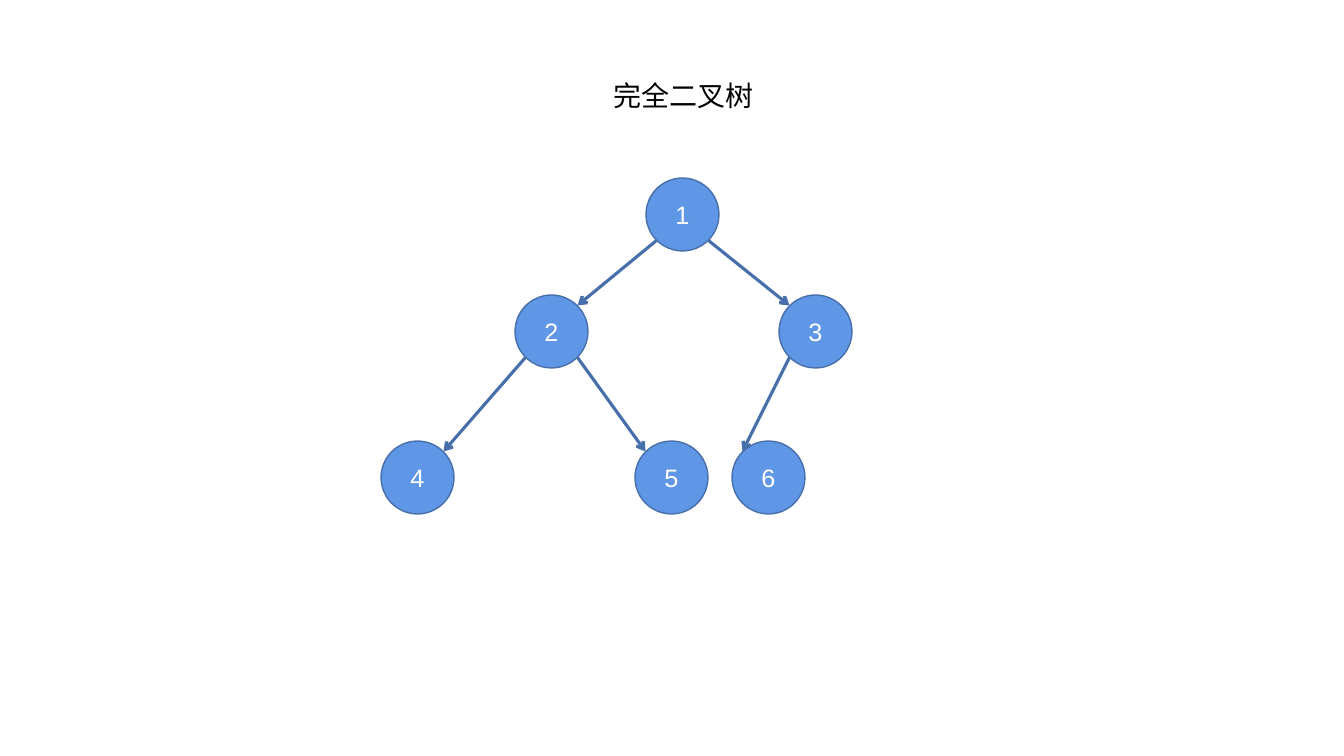
from lxml.etree import SubElement as Sub
from pptx import Presentation
from pptx.dml.color import RGBColor
from pptx.enum.shapes import MSO_CONNECTOR as Conn, MSO_SHAPE as Shape
from pptx.enum.text import MSO_ANCHOR as Anchor, MSO_AUTO_SIZE as Fit, PP_ALIGN as Align
from pptx.oxml.ns import qn
from pptx.util import Pt

BLUE = RGBColor(0x60, 0x96, 0xE6)
EDGE = RGBColor(0x47, 0x6F, 0xAA)
WHITE = RGBColor(0xFF, 0xFF, 0xFF)
BLACK = RGBColor(0, 0, 0)
SCALE = 914400 / 100.8
SIZE = 73    # node diameter
REACH = 26   # centre to the diagonal point on the rim


def px(value):
    return round(value * SCALE)


class Board:
    font = "Arial"

    def __init__(self, deck):
        self.slide = deck.slides.add_slide(deck.slide_layouts[6])
        self.shapes = self.slide.shapes

    def label(self, frame, text, size, color):
        para = frame.paragraphs[0]
        para.text = text
        para.alignment = Align.CENTER
        para.font.name = self.font
        para.font.size = Pt(size)
        para.font.color.rgb = color

    def title(self, text, x, y, w, h):
        frame = self.shapes.add_textbox(px(x), px(y), px(w), px(h)).text_frame
        frame.word_wrap = True
        frame.auto_size = Fit.SHAPE_TO_FIT_TEXT
        self.label(frame, text, 20, BLACK)

    def node(self, text, x, y):
        disc = self.shapes.add_shape(Shape.OVAL, px(x), px(y), px(SIZE), px(SIZE))
        disc.shadow.inherit = False
        disc.fill.solid()
        disc.fill.fore_color.rgb = BLUE
        disc.line.color.rgb = EDGE
        disc.line.width = Pt(1)
        disc.text_frame.vertical_anchor = Anchor.MIDDLE
        self.label(disc.text_frame, text, 18, WHITE)

    def arrow(self, start, end):
        link = self.shapes.add_connector(Conn.STRAIGHT, *map(px, start + end))
        link.line.color.rgb = EDGE
        link.line.width = Pt(2.25)
        props = link.element.spPr
        Sub(props.find(qn("a:ln")), qn("a:tailEnd"), type="arrow")
        Sub(props, qn("a:effectLst"))


def rim(spot, across, down):
    """Diagonal rim point; across and down are -1 or 1."""
    return tuple(side + SIZE / 2 + sign * REACH
                 for side, sign in zip(spot, (across, down)))


deck = Presentation()
deck.slide_width, deck.slide_height = px(1344), px(756)
board = Board(deck)

# Title
board.title("完全二叉树", 582, 74, 203, 44)

# Nodes, numbered level by level
ROWS = {178: [646], 295: [515, 779], 441: [381, 635, 732]}
spots = [(x, y) for y, row in ROWS.items() for x in row]
for index, spot in enumerate(spots, 1):
    board.node(str(index), *spot)

# Arrows: node n hangs under node n // 2, even numbers to the left
for child in range(2, len(spots) + 1):
    side = -1 if child % 2 == 0 else 1
    entry = -1 if child == 6 else -side  # node 6 is entered from its left
    board.arrow(rim(spots[child // 2 - 1], side, 1),
                rim(spots[child - 1], entry, -1))

deck.save("out.pptx")
